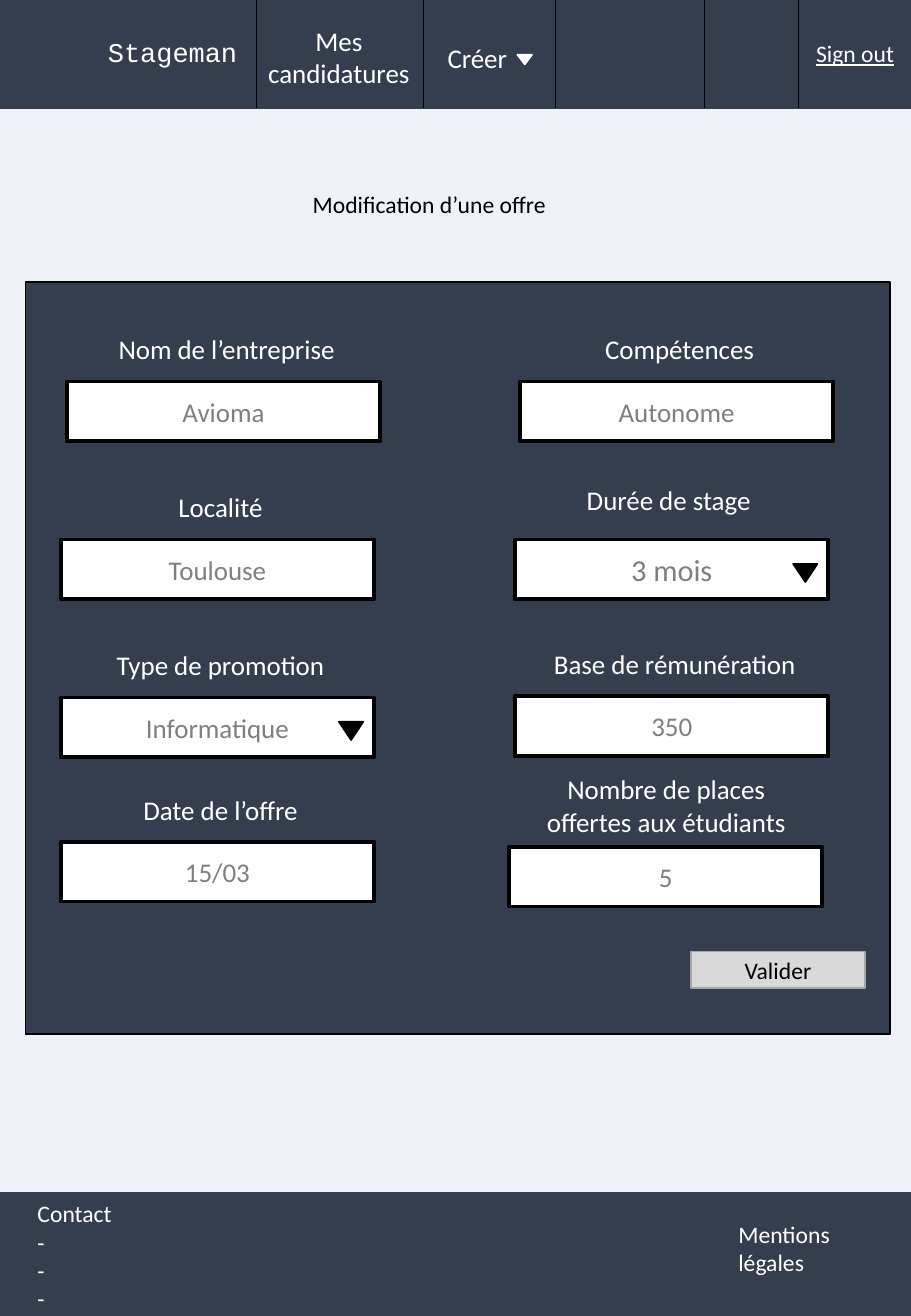
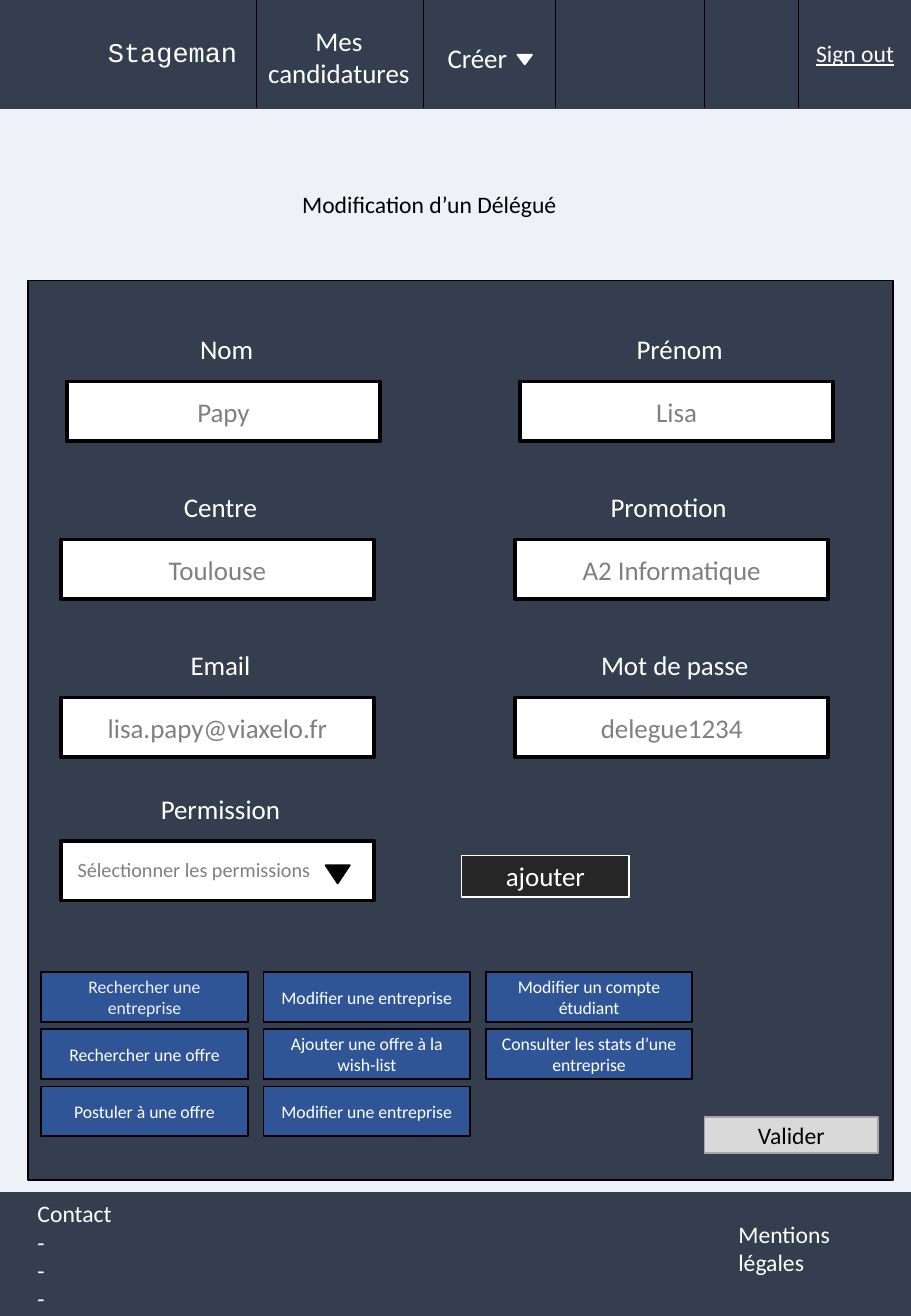
import pptx
import pptx.dml.color
import pptx.enum.shapes
import pptx.enum.text
import pptx.oxml
import pptx.util
from pptx.util import Inches

NAVY, PALE, WHITE, BLACK = "353E4E", "EEF2F8", "FFFFFF", "000000"
GREY, BLUE, CHARCOAL = "808080", "2F5597", "262626"
BUTTON_FILL, BUTTON_LINE = "D9D9D9", "A6A6A6"

SLIDE_WIDTH, SLIDE_HEIGHT = 7.5, 10.83
HEADER_TOP, HEADER_HEIGHT = -0.02, 0.91
HEADER_DIVIDERS = [2.11, 3.49, 4.57, 5.8, 6.57]
FIELD_WIDTH, FIELD_HEIGHT = 2.58, 0.49
LABEL_WIDTH = 2.45

RECTANGLE = pptx.enum.shapes.MSO_SHAPE.RECTANGLE
TRIANGLE = pptx.enum.shapes.MSO_SHAPE.ISOSCELES_TRIANGLE
LEFT = pptx.enum.text.PP_ALIGN.LEFT
CENTER = pptx.enum.text.PP_ALIGN.CENTER
TOP = pptx.enum.text.MSO_ANCHOR.TOP
MIDDLE = pptx.enum.text.MSO_ANCHOR.MIDDLE


def color(value):
    return pptx.dml.color.RGBColor.from_string(value)


def write(shape, text, size=16, ink=WHITE, font="Calibri", align=CENTER,
          anchor=TOP, underline=None):
    """Fill a shape with text, one paragraph for each line."""
    frame = shape.text_frame
    frame.word_wrap = True
    frame.vertical_anchor = anchor
    frame.text = text
    for paragraph in frame.paragraphs:
        paragraph.alignment = align
        for run in paragraph.runs:
            run.font.name = font
            run.font.size = pptx.util.Pt(size)
            run.font.color.rgb = color(ink)
            run.font.underline = underline


def add_text(shapes, left, top, width, height, text, **text_format):
    box = shapes.add_textbox(Inches(left), Inches(top), Inches(width), Inches(height))
    write(box, text, **text_format)


def add_box(shapes, left, top, width, height, fill, line, weight=1,
            kind=RECTANGLE, text=None, **text_format):
    shape = shapes.add_shape(kind, Inches(left), Inches(top), Inches(width), Inches(height))
    shape.shadow.inherit = False
    shape.fill.solid()
    shape.fill.fore_color.rgb = color(fill)
    shape.line.color.rgb = color(line)
    shape.line.width = pptx.util.Pt(weight)
    if text:
        write(shape, text, anchor=MIDDLE, **text_format)
    return shape


def add_arrow(shapes, left, top, width=0.2, height=0.15, fill=BLACK):
    """Add the downward triangle that marks a dropdown."""
    arrow = add_box(shapes, left, top, width, height, fill, fill, kind=TRIANGLE)
    arrow.rotation = 180


def add_divider(shapes, x):
    divider = shapes.add_connector(
        pptx.enum.shapes.MSO_CONNECTOR.STRAIGHT, Inches(x), Inches(HEADER_TOP),
        Inches(x), Inches(HEADER_TOP + HEADER_HEIGHT))
    divider.line.color.rgb = color(BLACK)
    divider.line.width = pptx.util.Pt(0.5)
    divider._element.spPr.append(pptx.oxml.parse_xml(
        '<a:effectLst xmlns:a="http://schemas.openxmlformats.org/drawingml/2006/main"/>'))


def add_header(slide):
    shapes = slide.shapes.add_group_shape().shapes
    add_box(shapes, 0, HEADER_TOP, SLIDE_WIDTH, HEADER_HEIGHT, NAVY, NAVY)
    for x in HEADER_DIVIDERS:
        add_divider(shapes, x)
    add_text(shapes, 0.79, 0.24, 1.62, 0.37, "Stageman", font="Courier New", align=LEFT)
    add_text(shapes, 2.04, 0.15, 1.5, 0.64, "Mes candidatures")
    add_text(shapes, 3.5, 0.29, 0.86, 0.37, "Créer")
    add_arrow(shapes, 4.26, 0.45, 0.12, 0.08, WHITE)
    add_text(shapes, 6.62, 0.27, 0.88, 0.34, "Sign out", size=14, align=LEFT, underline=True)


def add_footer(slide):
    add_box(slide.shapes, 0, 9.82, SLIDE_WIDTH, 1.01, NAVY, NAVY)
    add_text(slide.shapes, 0.21, 9.82, 1.31, 1.04, "Contact\n-\n-\n-", size=14, align=LEFT)
    add_text(slide.shapes, 5.98, 9.99, 1.31, 0.57, "Mentions légales", size=14, align=LEFT)


def add_page(presentation, title, panel):
    """Add a slide with the shared header, footer, title and form panel."""
    slide = presentation.slides.add_slide(presentation.slide_layouts[6])
    add_footer(slide)
    add_header(slide)
    add_text(slide.shapes, 1.81, 1.51, 3.45, 0.34, title, size=14, ink=BLACK)
    add_box(slide.shapes, *panel, NAVY, BLACK)
    return slide.shapes


def add_field(shapes, left, top, label, value=None, size=16, label_shift=0.09,
              label_rise=0.45, label_height=0.37, arrow_shift=None):
    """Add an input box with its label above and, if asked, a dropdown arrow."""
    add_box(shapes, left, top, FIELD_WIDTH, FIELD_HEIGHT, WHITE, BLACK, 2.25,
            text=value, size=size, ink=GREY)
    add_text(shapes, left + label_shift, top - label_rise, LABEL_WIDTH, label_height, label)
    if arrow_shift:
        add_arrow(shapes, left + arrow_shift, top + 0.2)


def add_submit(shapes, left, top):
    add_box(shapes, left, top, 1.43, 0.3, BUTTON_FILL, BUTTON_LINE,
            text="Valider", size=14, ink=BLACK)


def build_offer(presentation):
    shapes = add_page(presentation, "Modification d’une offre", (0.21, 2.32, 7.12, 6.19))
    add_field(shapes, 0.55, 3.14, "Nom de l’entreprise", "Avioma")
    add_field(shapes, 4.28, 3.14, "Compétences", "Autonome")
    add_field(shapes, 0.5, 4.44, "Localité", "Toulouse")
    add_field(shapes, 4.24, 4.44, "Durée de stage", "3 mois", size=18,
              label_shift=0.04, label_rise=0.51, arrow_shift=2.29)
    add_field(shapes, 0.5, 5.74, "Type de promotion", "Informatique", arrow_shift=2.29)
    add_field(shapes, 4.24, 5.73, "Base de rémunération", "350")
    add_field(shapes, 0.5, 6.93, "Date de l’offre", "15/03")
    add_field(shapes, 4.19, 6.97, "Nombre de places offertes aux étudiants", "5",
              label_shift=0.07, label_rise=0.66, label_height=0.64)
    add_submit(shapes, 5.69, 7.83)


def add_permissions(shapes):
    columns = [
        ["Rechercher une entreprise", "Rechercher une offre", "Postuler à une offre"],
        ["Modifier une entreprise", "Ajouter une offre à la wish-list",
         "Modifier une entreprise"],
        ["Modifier un compte étudiant", "Consulter les stats d’une entreprise"],
    ]
    for column, names in enumerate(columns):
        for row, name in enumerate(names):
            ink = PALE if row == column == 0 else WHITE
            add_box(shapes, 0.34 + 1.83 * column, 8 + 0.47 * row, 1.7, 0.41,
                    BLUE, BLACK, text=name, size=10.5, ink=ink)


def build_delegate(presentation):
    shapes = add_page(presentation, "Modification d’un Délégué", (0.23, 2.31, 7.12, 7.4))
    add_field(shapes, 0.55, 3.14, "Nom", "Papy")
    add_field(shapes, 4.28, 3.14, "Prénom", "Lisa")
    add_field(shapes, 0.5, 4.44, "Centre", "Toulouse")
    add_field(shapes, 4.24, 4.44, "Promotion", "A2 Informatique", label_shift=0.04)
    add_field(shapes, 0.5, 5.74, "Email", "lisa.papy@viaxelo.fr")
    add_field(shapes, 4.24, 5.74, "Mot de passe", "delegue1234")
    add_field(shapes, 0.5, 6.92, "Permission", arrow_shift=2.18)
    add_text(shapes, 0.54, 7.01, 2.2, 0.3, "Sélectionner les permissions",
             size=12, ink=GREY, align=LEFT)
    add_box(shapes, 3.8, 7.04, 1.38, 0.34, CHARCOAL, WHITE, text="ajouter")
    add_permissions(shapes)
    add_submit(shapes, 5.8, 9.19)


def main():
    presentation = pptx.Presentation()
    presentation.slide_width = Inches(SLIDE_WIDTH)
    presentation.slide_height = Inches(SLIDE_HEIGHT)
    background = presentation.slide_master.background.fill
    background.solid()
    background.fore_color.rgb = color(PALE)
    build_offer(presentation)
    build_delegate(presentation)
    presentation.save("out.pptx")


if __name__ == "__main__":
    main()
